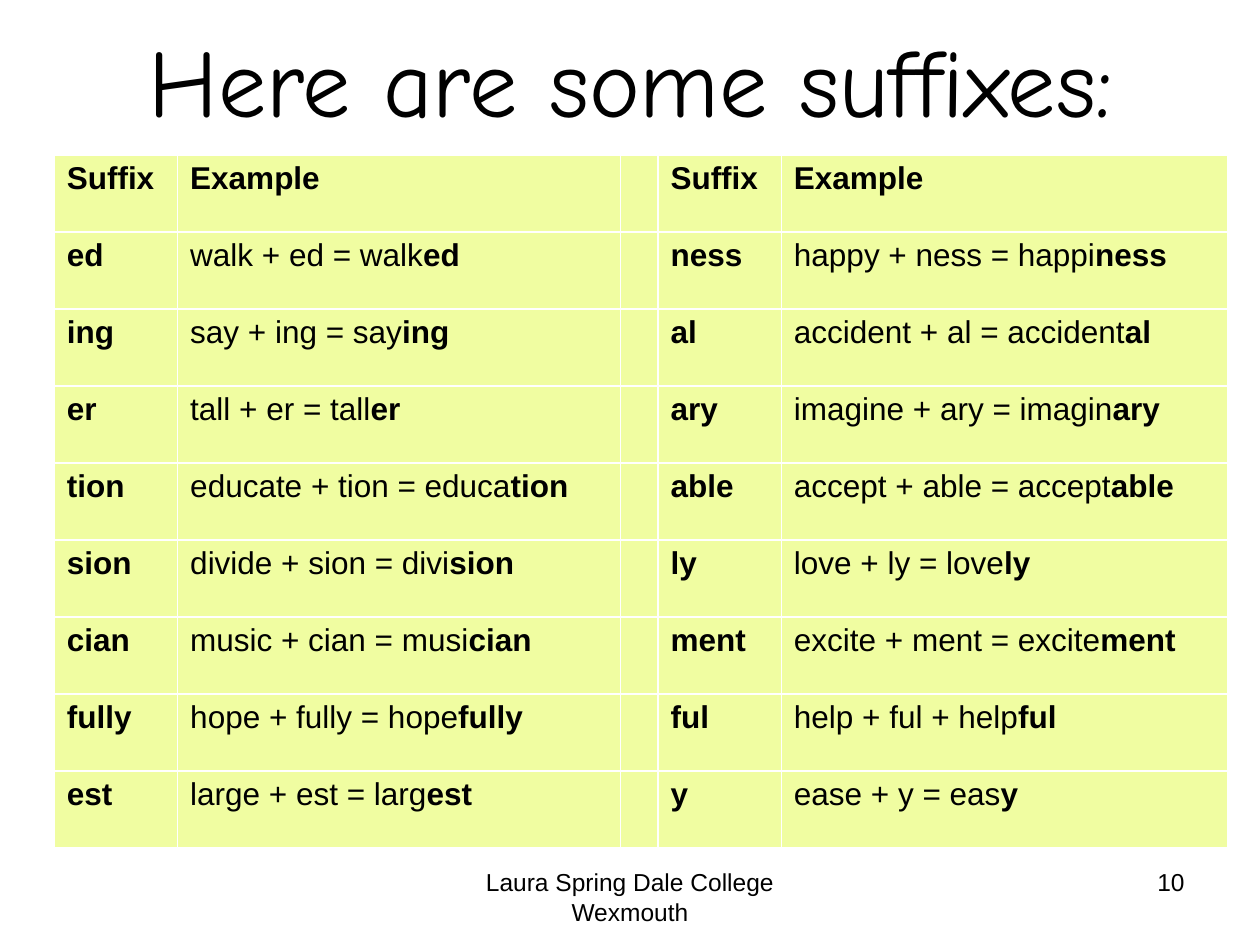
from dataclasses import dataclass

from pptx import Presentation
from pptx.dml.color import RGBColor
from pptx.enum import text
from pptx.util import Pt


@dataclass(frozen=True)
class Theme:
    ink: RGBColor = RGBColor(0, 0, 0)
    panel: RGBColor = RGBColor(0xF0, 0xFD, 0xA1)
    heading_font: str = "Comic Neue"
    body_font: str = "Arial"
    heading_size: int = 55
    body_size: int = 18
    footer_size: int = 14


THEME = Theme()
COLUMN_WIDTHS = (70.5, 253, 21.5, 70.5, 255)
HANGING_INDENT = 27
LEFT_SUFFIXES = [
    ("ed", "walk + ed = walk"),
    ("ing", "say + ing = say"),
    ("er", "tall + er = tall"),
    ("tion", "educate + tion = educa"),
    ("sion", "divide + sion = divi"),
    ("cian", "music + cian = musi"),
    ("fully", "hope + fully = hope"),
    ("est", "large + est = larg"),
]
RIGHT_SUFFIXES = [
    ("ness", "happy + ness = happi"),
    ("al", "accident + al = accident"),
    ("ary", "imagine + ary = imagin"),
    ("able", "accept + able = accept"),
    ("ly", "love + ly = love"),
    ("ment", "excite + ment = excite"),
    ("ful", "help + ful + help"),
    ("y", "ease + y = eas"),
]


def add_run(paragraph, wording, size, font=THEME.body_font, bold=False):
    run = paragraph.add_run()
    run.text = wording
    run.font.name = font
    run.font.size = Pt(size)
    run.font.bold = bold
    run.font.color.rgb = THEME.ink


def place_title(slide, left, top, width, height, wording):
    title = slide.shapes.title
    title.left, title.top = Pt(left), Pt(top)
    title.width, title.height = Pt(width), Pt(height)
    frame = title.text_frame
    frame.word_wrap = True
    frame.auto_size = text.MSO_AUTO_SIZE.NONE
    frame.vertical_anchor = text.MSO_ANCHOR.MIDDLE
    heading = frame.paragraphs[0]
    heading.alignment = text.PP_ALIGN.CENTER
    add_run(heading, wording, THEME.heading_size, THEME.heading_font)


def fill_entry(cell, *pieces):
    entry = cell.text_frame.paragraphs[0]
    properties = entry._p.get_or_add_pPr()
    properties.set("marL", str(Pt(HANGING_INDENT)))
    properties.set("indent", str(-Pt(HANGING_INDENT)))
    for wording, bold in pieces:
        add_run(entry, wording, THEME.body_size, bold=bold)


def place_suffixes(slide, left, top, width, height):
    row_count = len(LEFT_SUFFIXES) + 1
    suffixes = slide.shapes.add_table(
        row_count, len(COLUMN_WIDTHS), Pt(left), Pt(top), Pt(width), Pt(height)
    ).table
    suffixes.first_row = suffixes.horz_banding = False
    for column, share in zip(suffixes.columns, COLUMN_WIDTHS):
        column.width = Pt(width * share / sum(COLUMN_WIDTHS))
    for row in suffixes.rows:
        row.height = Pt(height / row_count)
    for cell in suffixes.iter_cells():
        cell.fill.solid()
        cell.fill.fore_color.rgb = THEME.panel

    for first_column, entries in ((0, LEFT_SUFFIXES), (3, RIGHT_SUFFIXES)):
        fill_entry(suffixes.cell(0, first_column), ("Suffix", True))
        fill_entry(suffixes.cell(0, first_column + 1), ("Example", True))
        for row, (suffix, example) in enumerate(entries, 1):
            fill_entry(suffixes.cell(row, first_column), (suffix, True))
            fill_entry(
                suffixes.cell(row, first_column + 1), (example, False), (suffix, True)
            )


def place_footer(slide, left, top, width, height, wording, alignment):
    footer = slide.shapes.add_textbox(Pt(left), Pt(top), Pt(width), Pt(height))
    footer.text_frame.word_wrap = True
    line = footer.text_frame.paragraphs[0]
    line.alignment = alignment
    add_run(line, wording, THEME.footer_size)


def main():
    deck = Presentation()
    deck.slide_width, deck.slide_height = Pt(720), Pt(540)
    slide = deck.slides.add_slide(deck.slide_layouts[5])
    place_footer(
        slide, 246, 492, 228, 37.5,
        "Laura Spring Dale College Wexmouth", text.PP_ALIGN.CENTER,
    )
    place_footer(slide, 516, 492, 168, 37.5, "10", text.PP_ALIGN.RIGHT)
    place_title(slide, 36.75, 0, 648, 90, "Here are some suffixes:")
    place_suffixes(slide, 31, 88.5, 670.5, 396)
    deck.save("out.pptx")


if __name__ == "__main__":
    main()
